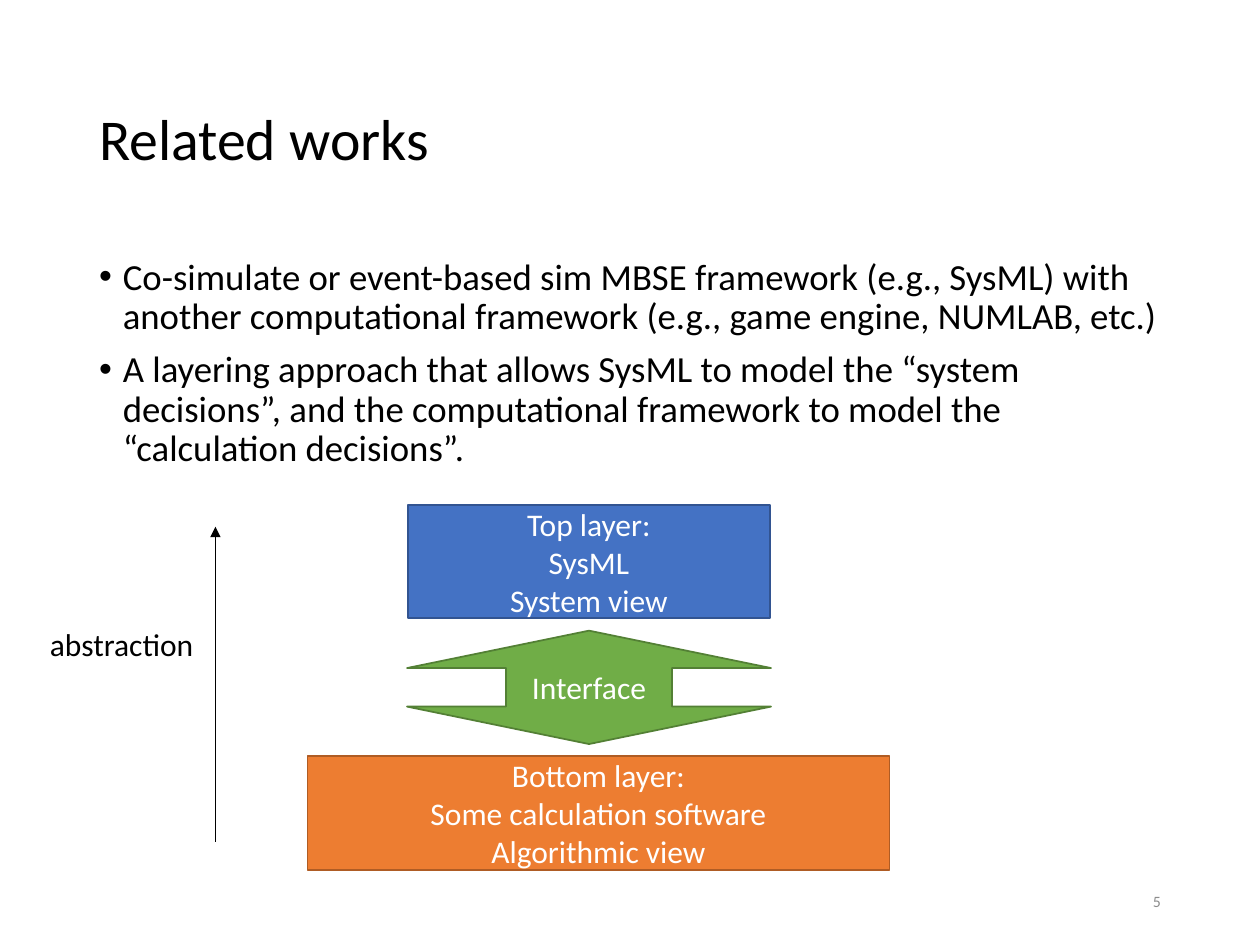
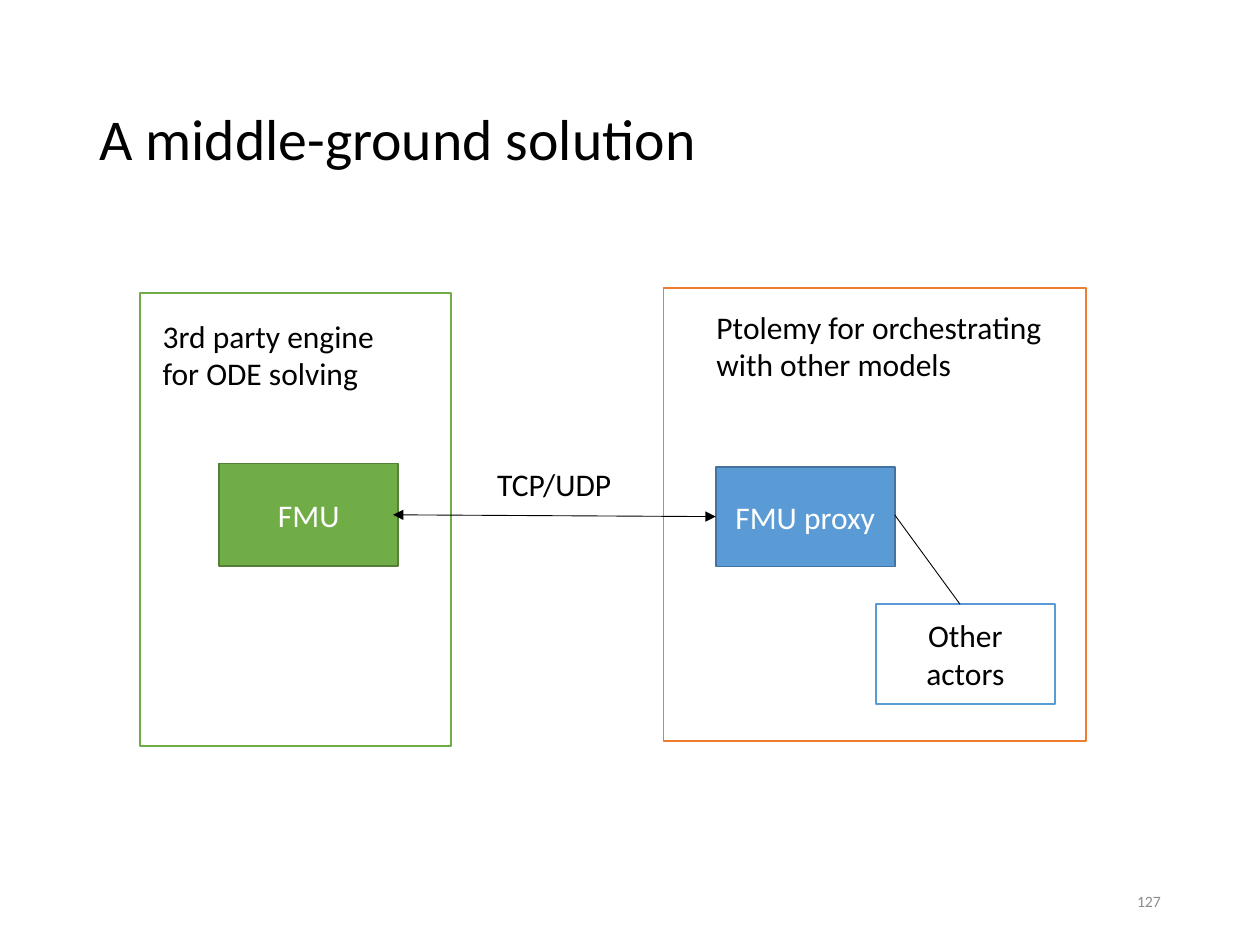
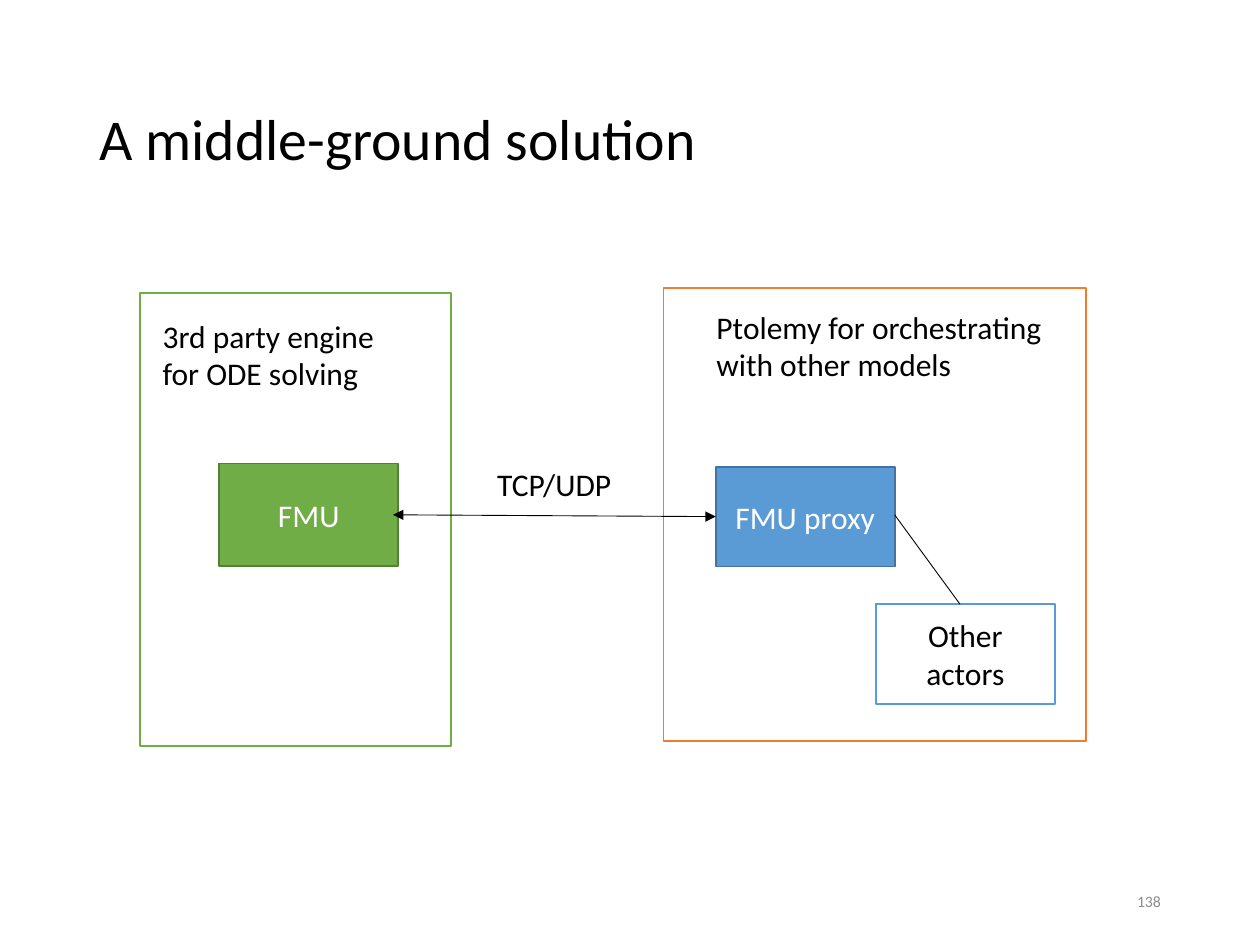
from dataclasses import dataclass

from lxml.etree import SubElement
from pptx import Presentation
from pptx.dml.color import RGBColor
from pptx.enum.shapes import MSO_CONNECTOR as Connector, MSO_SHAPE as Preset
from pptx.enum.text import MSO_ANCHOR as Anchor, MSO_AUTO_SIZE as AutoSize, PP_ALIGN as Align
from pptx.oxml.ns import qn
from pptx.util import Pt

FONT = "Calibri"
BLACK, WHITE, GRAY = "000000", "FFFFFF", "8C8C8C"
BLUE, BLUE_EDGE = "4472C4", "325491"
ORANGE, ORANGE_EDGE = "ED7D31", "AF5C24"
GREEN, GREEN_EDGE = "70AD47", "538035"
SKY, SKY_EDGE = "5B9BD5", "43739E"

TITLE_AREA = (49.5, 28.8, 621, 104.4)
BODY_AREA = (49.5, 144, 621, 342.75)
NUMBER_AREA = (508.5, 500.5, 162, 28.8)
LABEL_SIZE = 18
TITLE_ONLY, TITLE_AND_CONTENT = 5, 1

LAYER_TOP, LAYER_PITCH, LAYER_HEIGHT = 288.6, 71.8, 64.8
ACTOR_WIDTH, ACTOR_HEIGHT = 102.25, 56.9
PANEL_HEIGHT = 259.2


@dataclass(frozen=True)
class Block:
    area: tuple[float, float, float, float]
    fill: str
    edge: str
    lines: tuple[str, ...] = ()
    ink: str = WHITE
    preset: Preset = Preset.RECTANGLE
    adjustments: tuple[int, ...] = ()


@dataclass(frozen=True)
class Label:
    area: tuple[float, float, float, float]
    text: str


@dataclass(frozen=True)
class Link:
    start: tuple[float, float]
    end: tuple[float, float]
    arrowheads: tuple[str, ...] = ()


LAYERS = (
    Block((233.25, LAYER_TOP, 206.6, LAYER_HEIGHT), BLUE, BLUE_EDGE,
          ("Top layer:", "SysML", "System view")),
    Block((232.6, LAYER_TOP + LAYER_PITCH, 208, LAYER_HEIGHT), GREEN, GREEN_EDGE,
          ("Interface",), preset=Preset.UP_DOWN_ARROW, adjustments=(45600, 33000)),
    Block((175.7, LAYER_TOP + 2 * LAYER_PITCH, 332.6, LAYER_HEIGHT), ORANGE, ORANGE_EDGE,
          ("Bottom layer:", "Some calculation software", "Algorithmic view")),
)
ABSTRACTION_LABEL = Label((21.4, 353.5, 110, 29), "abstraction")
ABSTRACTION_ARROW = Link((123.1, 480.9), (123.1, 301), ("tailEnd",))

RELATED_WORKS = (
    "Co-simulate or event-based sim MBSE framework (e.g., SysML) with another "
    "computational framework (e.g., game engine, NUMLAB, etc.)",
    "A layering approach that allows SysML to model the “system decisions”, and the "
    "computational framework to model the “calculation decisions”.",
)

SOLUTION_BLOCKS = (
    Block((79.9, 167.3, 178, PANEL_HEIGHT), WHITE, GREEN),
    Block((379.2, 164.4, 241.5, PANEL_HEIGHT), WHITE, ORANGE),
    Block((409, 266.8, ACTOR_WIDTH, ACTOR_HEIGHT), SKY, SKY_EDGE, ("FMU proxy",)),
    Block((125.3, 264.8, ACTOR_WIDTH, 58.6), GREEN, GREEN_EDGE, ("FMU",)),
    Block((500.5, 345.3, ACTOR_WIDTH, ACTOR_HEIGHT), WHITE, SKY, ("Other actors",), BLACK),
)
SOLUTION_LABELS = (
    Label((402.3, 172.2, 210, 51), "Ptolemy for orchestrating with other models"),
    Label((85.9, 177.4, 156, 51), "3rd party engine for ODE solving"),
    Label((277, 262.3, 143, 29), "TCP/UDP"),
)
SOLUTION_LINKS = (
    Link((224.6, 294.2), (409, 295.2), ("headEnd", "tailEnd")),
    Link((511.25, 294.2), (548.6, 345.3)),
)


def rgb(value: str) -> RGBColor:
    return RGBColor.from_string(value)


def place(shape, area: tuple[float, ...]) -> None:
    shape.left, shape.top, shape.width, shape.height = map(Pt, area)


def write(frame, lines: tuple[str, ...], size: float, ink: str,
          align: Align = Align.LEFT, anchor: Anchor = Anchor.TOP) -> None:
    frame.word_wrap = True
    frame.auto_size = AutoSize.NONE
    frame.vertical_anchor = anchor
    for index, line in enumerate(lines):
        paragraph = frame.add_paragraph() if index else frame.paragraphs[0]
        paragraph.alignment = align
        run = paragraph.add_run()
        run.text = line
        run.font.name = FONT
        run.font.size = Pt(size)
        run.font.color.rgb = rgb(ink)


def space_lines(frame, before: float = 0) -> None:
    for index, paragraph in enumerate(frame.paragraphs):
        paragraph.line_spacing = 0.9
        paragraph.space_before = Pt(before if index else 0)


def fill_body(body, items: tuple[str, ...]) -> None:
    place(body, BODY_AREA)
    frame = body.text_frame
    write(frame, items, 21, BLACK)
    space_lines(frame, 7.5)
    for paragraph in frame.paragraphs:
        properties = paragraph._p.get_or_add_pPr()
        properties.set("marL", str(Pt(13.5)))
        properties.set("indent", str(-Pt(13.5)))
        SubElement(properties, qn("a:buFont")).set("typeface", "Arial")
        SubElement(properties, qn("a:buChar")).set("char", "•")


def adjust(shape, values: tuple[int, ...]) -> None:
    guides = shape._element.spPr.find(qn("a:prstGeom")).find(qn("a:avLst"))
    for number, value in enumerate(values, 1):
        SubElement(guides, qn("a:gd"), name=f"adj{number}", fmla=f"val {value}")


def draw_block(slide, block: Block) -> None:
    shape = slide.shapes.add_shape(block.preset, *map(Pt, block.area))
    shape.shadow.inherit = False
    shape.fill.solid()
    shape.fill.fore_color.rgb = rgb(block.fill)
    shape.line.color.rgb = rgb(block.edge)
    shape.line.width = Pt(1)
    adjust(shape, block.adjustments)
    write(shape.text_frame, block.lines, LABEL_SIZE, block.ink, Align.CENTER, Anchor.MIDDLE)


def draw_label(slide, label: Label) -> None:
    box = slide.shapes.add_textbox(*map(Pt, label.area))
    write(box.text_frame, (label.text,), LABEL_SIZE, BLACK)


def draw_link(slide, link: Link) -> None:
    connector = slide.shapes.add_connector(
        Connector.STRAIGHT, *map(Pt, link.start + link.end))
    connector.line.color.rgb = rgb(BLACK)
    connector.line.width = Pt(0.5)
    outline = connector.line._get_or_add_ln()
    for arrowhead in link.arrowheads:
        SubElement(outline, qn(f"a:{arrowhead}")).set("type", "triangle")
    SubElement(connector._element.spPr, qn("a:effectLst"))


def add_slide(deck, layout: int, title: str, number: int):
    slide = deck.slides.add_slide(deck.slide_layouts[layout])
    heading = slide.shapes.title
    place(heading, TITLE_AREA)
    write(heading.text_frame, (title,), 33, BLACK, anchor=Anchor.MIDDLE)
    space_lines(heading.text_frame)
    footer = slide.shapes.add_textbox(*map(Pt, NUMBER_AREA))
    write(footer.text_frame, (str(number),), 9, GRAY, Align.RIGHT, Anchor.MIDDLE)
    return slide


def add_related_works(deck) -> None:
    slide = add_slide(deck, TITLE_AND_CONTENT, "Related works", 5)
    fill_body(slide.placeholders[1], RELATED_WORKS)
    for layer in LAYERS:
        draw_block(slide, layer)
    draw_link(slide, ABSTRACTION_ARROW)
    draw_label(slide, ABSTRACTION_LABEL)


def add_solution(deck, number: int) -> None:
    slide = add_slide(deck, TITLE_ONLY, "A middle-ground solution", number)
    for block in SOLUTION_BLOCKS:
        draw_block(slide, block)
    for label in SOLUTION_LABELS:
        draw_label(slide, label)
    for link in SOLUTION_LINKS:
        draw_link(slide, link)


def main() -> None:
    deck = Presentation()
    deck.slide_width, deck.slide_height = Pt(720), Pt(540)
    add_related_works(deck)
    for number in (127, 138):
        add_solution(deck, number)
    deck.save("out.pptx")


if __name__ == "__main__":
    main()
